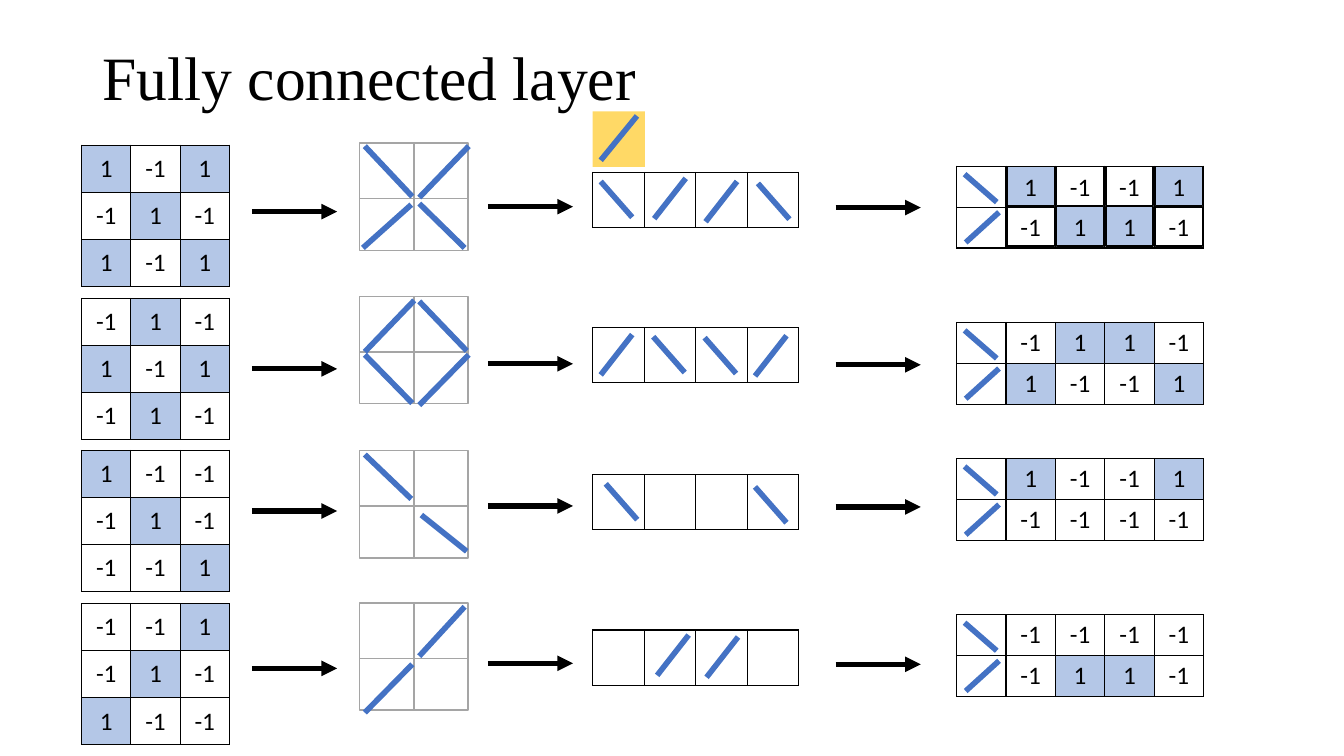
from lxml import etree
from pptx import Presentation
from pptx.dml.color import RGBColor
from pptx.enum.shapes import MSO_CONNECTOR, MSO_SHAPE
from pptx.enum.text import MSO_ANCHOR, PP_ALIGN
from pptx.oxml.ns import qn
from pptx.util import Pt

RECT = MSO_SHAPE.RECTANGLE
STRAIGHT = MSO_CONNECTOR.STRAIGHT
LEFT, CENTER = PP_ALIGN.LEFT, PP_ALIGN.CENTER
MIDDLE = MSO_ANCHOR.MIDDLE

BLACK, WHITE, GRAY = "000000", "FFFFFF", "A5A5A5"
BLUE, LIGHT_BLUE, YELLOW = "4472C4", "B4C7E7", "FFD966"

GRID_X, PATCH_X, STRIP_X, RESULT_X = 58.3, 257, 423.4, 683.3
GRID_CELL, STRIP_CELL, RESULT_CELL = (35.2, 33.6), (36.8, 39.4), (35.3, 29.2)
PATCH_W, PATCH_ROWS = 38.7, (39.8, 36.9)
ARROW_LENGTH = 60.8
ARROWS = ((180, 0), (348.5, -3.6), (596.9, -2.9))  # left, shift from arrow_y
STROKE_SIZE = {"\\": (22.5, 25.6), "/": (22.5, 28.8)}

# patch_strokes are x1, y1, x2, y2; strip_strokes are direction, left, top
LAYERS = (
    dict(
        grid_y=103.7, patch_y=102.2, strip_y=123.1, result_y=118.8, arrow_y=151.2,
        grid=((1, -1, 1), (-1, 1, -1), (1, -1, 1)),
        result=((1, -1, -1, 1), (-1, 1, 1, -1)),
        patch_strokes=((294.5, 140.4, 260.6, 104.4), (299.5, 141.1, 334.8, 104.4),
                       (293.8, 146.2, 259.2, 177.1), (331.9, 177.1, 299.5, 145.4)),
        strip_strokes=(("\\", 429.1, 129.6), ("/", 467.3, 127.4),
                       ("/", 504, 129.6), ("\\", 541.4, 131)),
    ),
    dict(
        grid_y=213.1, patch_y=211.7, strip_y=234, result_y=230.4, arrow_y=263.5,
        grid=((-1, 1, -1), (1, -1, 1), (-1, 1, -1)),
        result=((-1, 1, 1, -1), (1, -1, -1, 1)),
        patch_strokes=((260.6, 251.3, 295.9, 214.6), (299.5, 289.4, 334.8, 253.4),
                       (299.5, 215.3, 333.4, 250.6), (260.6, 253.4, 294.5, 288)),
        strip_strokes=(("/", 429.1, 239), ("\\", 466.6, 240.5),
                       ("\\", 503.3, 241.2), ("/", 539.3, 239.8)),
    ),
    dict(
        grid_y=321.8, patch_y=321.8, strip_y=339.1, result_y=327.6, arrow_y=365,
        grid=((1, -1, -1), (-1, 1, -1), (-1, -1, 1)),
        result=((1, -1, -1, 1), (-1, -1, -1, -1)),
        patch_strokes=((260.6, 324.7, 293.8, 356.4), (301, 367.9, 333.4, 393.8)),
        strip_strokes=(("\\", 432.7, 345.6), ("\\", 539.3, 347.8)),
    ),
    dict(
        grid_y=431.3, patch_y=430.6, strip_y=450, result_y=439.2, arrow_y=477.4,
        grid=((-1, -1, 1), (-1, 1, -1), (1, -1, -1)),
        result=((-1, -1, -1, -1), (-1, 1, 1, -1)),
        patch_strokes=((331.9, 433.4, 299.5, 468.7), (294.5, 474.5, 260.6, 509)),
        strip_strokes=(("/", 469.4, 453.6), ("/", 504.7, 455)),
    ),
)


def rgb(color):
    return RGBColor.from_string(color)


def set_text(tf, text, size=18, font="Calibri", color=BLACK, align=CENTER, spacing=1.0):
    p = tf.paragraphs[0]
    p.alignment, p.line_spacing = align, spacing
    r = p.add_run()
    r.text = str(text)
    r.font.size, r.font.name = Pt(size), font
    r.font.color.rgb = rgb(color)


def set_fill(fill, color):
    if color:
        fill.solid()
        fill.fore_color.rgb = rgb(color)
    else:
        fill.background()


def value_fill(value):
    return LIGHT_BLUE if value == 1 else None


def add_line(shapes, x1, y1, x2, y2, color=BLUE, width=4, arrow=False):
    line = shapes.add_connector(STRAIGHT, Pt(x1), Pt(y1), Pt(x2), Pt(y2))
    line.line.color.rgb = rgb(color)
    line.line.width = Pt(width)
    if arrow:
        etree.SubElement(line.line._get_or_add_ln(), qn("a:tailEnd"), type="triangle")
    etree.SubElement(line._element.spPr, qn("a:effectLst"))


def add_stroke(shapes, direction, left, top, width, height):
    start, end = (top, top + height) if direction == "\\" else (top + height, top)
    add_line(shapes, left, start, left + width, end)


def add_box(shapes, left, top, width, height, fill=None, line=None, text=None):
    sp = shapes.add_shape(RECT, Pt(left), Pt(top), Pt(width), Pt(height))
    sp.shadow.inherit = False
    set_fill(sp.fill, fill)
    set_fill(sp.line.fill, line)
    if line:
        sp.line.width = Pt(1)
    if text is not None:
        tf = sp.text_frame
        tf.margin_left = tf.margin_right = tf.margin_top = tf.margin_bottom = 0
        tf.word_wrap, tf.vertical_anchor = True, MIDDLE
        set_text(tf, text)


def set_borders(cell):
    tc_pr = cell._tc.get_or_add_tcPr()
    for side in ("lnL", "lnR", "lnT", "lnB"):
        ln = etree.SubElement(tc_pr, qn(f"a:{side}"), w=str(Pt(1)))
        solid = etree.SubElement(ln, qn("a:solidFill"))
        etree.SubElement(solid, qn("a:srgbClr"), val=BLACK)


def add_value_table(shapes, left, top, cell_size, rows):
    """Draw a bordered table; None leaves a cell blank."""
    width, height = cell_size
    n_rows, n_cols = len(rows), len(rows[0])
    table = shapes.add_table(n_rows, n_cols, Pt(left), Pt(top),
                             Pt(width * n_cols), Pt(height * n_rows)).table
    table.first_row = table.horz_banding = False
    for col in table.columns:
        col.width = Pt(width)
    for i, values in enumerate(rows):
        table.rows[i].height = Pt(height)
        for j, value in enumerate(values):
            cell = table.cell(i, j)
            cell.margin_left = cell.margin_right = Pt(4)
            cell.margin_top = cell.margin_bottom = Pt(2)
            cell.vertical_anchor = MIDDLE
            set_borders(cell)
            set_fill(cell.fill, value_fill(value))
            if value is not None:
                set_text(cell.text_frame, value)


def add_patch(slide, top, strokes):
    shapes = slide.shapes.add_group_shape().shapes
    for height in PATCH_ROWS:
        for col in range(2):
            add_box(shapes, PATCH_X + col * PATCH_W, top, PATCH_W, height, WHITE, GRAY)
        top += height
    for stroke in strokes:
        add_line(shapes, *stroke)


def add_result(shapes, top, rows, boxed):
    """Draw the feature table, with its values in separate boxes if boxed."""
    cells = [(None,) + ((None,) * len(row) if boxed else row) for row in rows]
    add_value_table(shapes, RESULT_X, top, RESULT_CELL, cells)
    add_stroke(shapes, "\\", 689, top + 5.6, 23, 20)
    add_stroke(shapes, "/", 689.8, top + 32.8, 23.8, 21.6)
    if boxed:
        for i, row in enumerate(rows):
            for j, value in enumerate(row):
                add_box(shapes, 719.3 + j * 35.3, top + i * 28.8, 33.8, 28.1,
                        value_fill(value), BLACK, value)


def add_filter(slide):
    shapes = slide.shapes.add_group_shape().shapes
    add_box(shapes, 423.4, 79.5, 37.2, 39.8, YELLOW)
    add_stroke(shapes, "/", 429.1, 82.8, 25.9, 31.7)


def add_title(slide, text):
    title = slide.shapes.title
    title.left, title.top, title.width, title.height = Pt(66), Pt(5), Pt(828), Pt(104.4)
    title.text_frame.vertical_anchor = MIDDLE
    set_text(title.text_frame, text, size=44, font="Times New Roman", align=LEFT, spacing=0.9)


def main():
    prs = Presentation()
    prs.slide_width, prs.slide_height = Pt(960), Pt(540)
    s = prs.slides.add_slide(prs.slide_layouts[5])
    add_title(s, "Fully connected layer")
    for i, layer in enumerate(LAYERS):
        add_value_table(s.shapes, GRID_X, layer["grid_y"], GRID_CELL, layer["grid"])
        add_patch(s, layer["patch_y"], layer["patch_strokes"])
        add_value_table(s.shapes, STRIP_X, layer["strip_y"], STRIP_CELL, [(None,) * 4])
        for direction, left, top in layer["strip_strokes"]:
            add_stroke(s.shapes, direction, left, top, *STROKE_SIZE[direction])
        for left, shift in ARROWS:
            y = layer["arrow_y"] + shift
            add_line(s.shapes, left, y, left + ARROW_LENGTH, y, BLACK, 3.75, arrow=True)
        add_result(s.shapes, layer["result_y"], layer["result"], boxed=i == 0)
    add_filter(s)
    prs.save("out.pptx")


if __name__ == "__main__":
    main()
